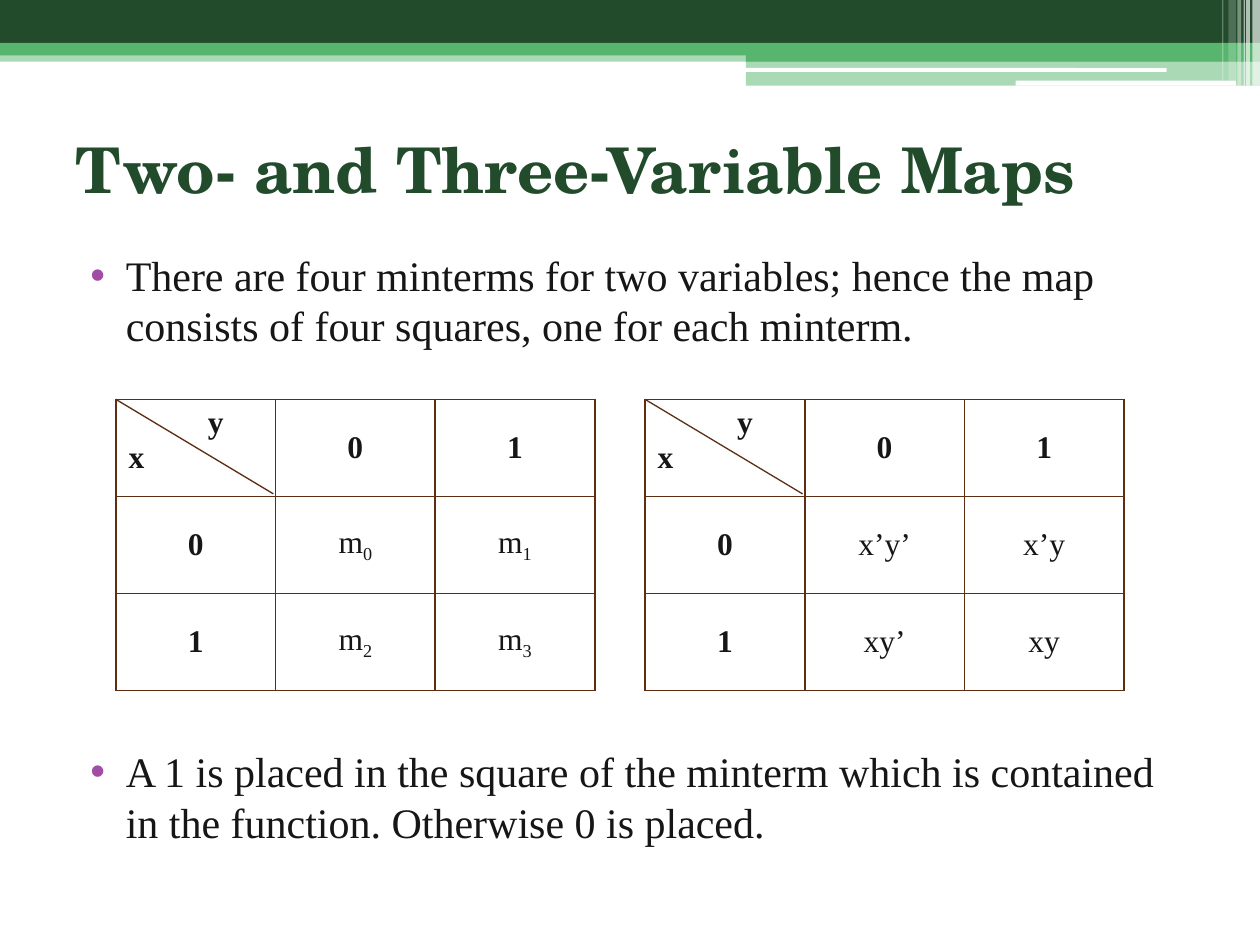
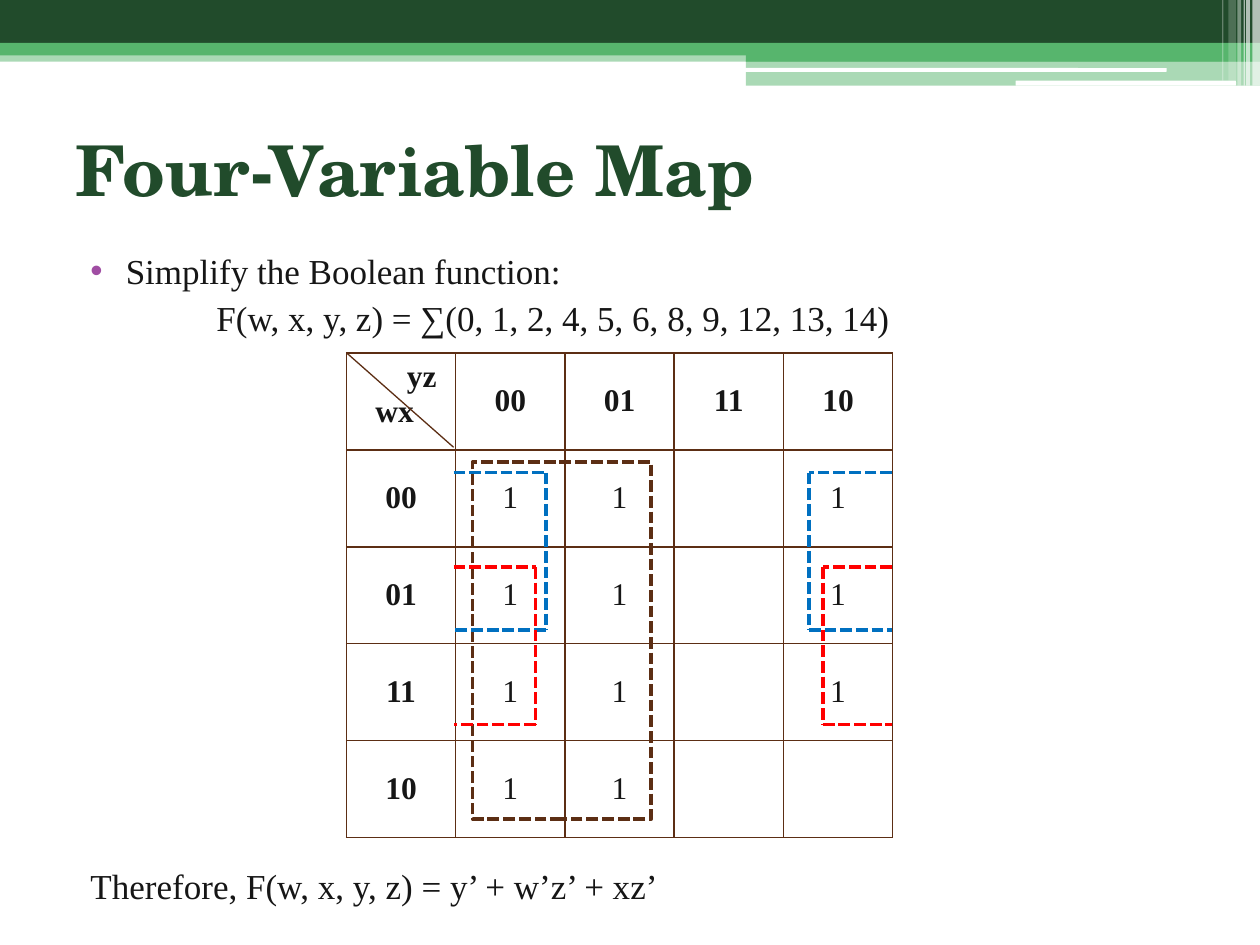
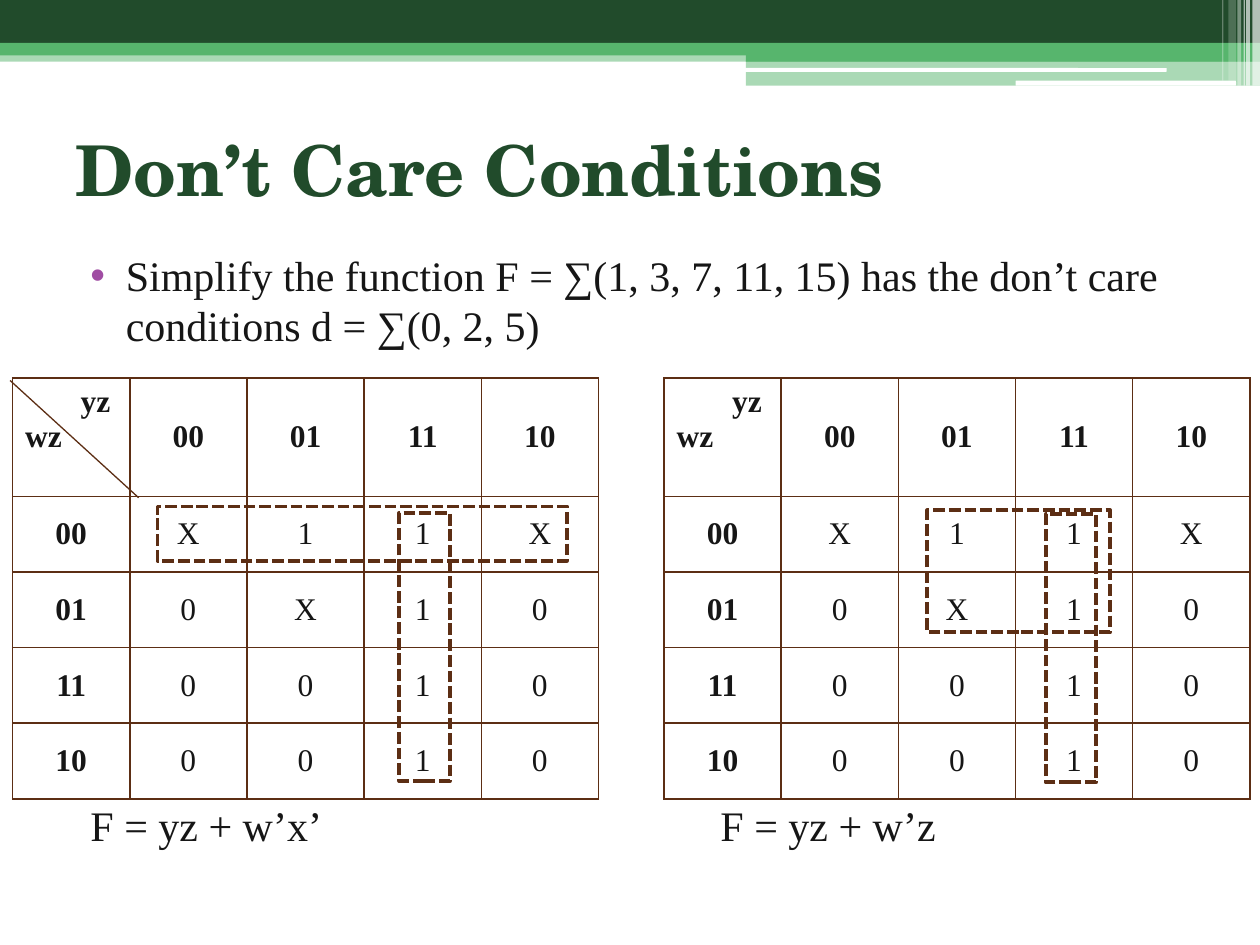
from dataclasses import dataclass

from pptx import Presentation
from pptx.dml.color import RGBColor
from pptx.enum import dml, shapes, text
from pptx.oxml import ns, xmlchemy
from pptx.util import Inches, Pt


@dataclass(frozen=True)
class Theme:
    dark: str = "214B2B"
    green: str = "57B56D"
    white: str = "FFFFFF"
    ink: str = "161616"
    bullet: str = "A04DA3"
    brown: str = "5C2E14"
    blue: str = "0070C0"
    red: str = "FF0000"
    title_font: str = "TeX Gyre Schola"
    body_font: str = "Times New Roman"
    title_size: int = 40
    long_title_size: int = 36
    body_size: int = 24
    small_body_size: int = 20
    cell_size: int = 18
    grid_line: float = 1
    diagonal_line: float = 0.75
    group_line: float = 2.25


THEME = Theme()

# Header: left, top, width, height, colour, opacity in percent
BANDS = [
    (0, 0.4, 10, 0.09, THEME.green, 50),
    (0, 0, 10, 0.34, THEME.dark, 100),
    (0, 0.34, 10, 0.1, THEME.green, 100),
    (5.92, 0.39, 4.08, 0.1, THEME.green, 100),
    (5.92, 0.48, 4.08, 0.2, THEME.green, 50),
]
ROUNDED_BARS = [
    (5.91, 0.54, 3.35, 0.03, THEME.white, 100),
    (8.06, 0.64, 1.75, 0.04, THEME.white, 100),
]
STRIPES = [
    (left, 0, width, height, THEME.white, opacity)
    for left, width, height, opacity in [
        (9.94, 0.06, 0.68, 65), (9.89, 0.03, 0.68, 65), (9.87, 0.01, 0.68, 60),
        (9.82, 0.03, 0.68, 40), (9.75, 0.06, 0.64, 20), (9.7, 0.01, 0.64, 30),
    ]
]
GRAY_CODE = ["00", "01", "11", "10"]


# Shared helpers
def add_child(parent, tag, **attributes):
    child = xmlchemy.OxmlElement(tag)
    for name, value in attributes.items():
        child.set(name, str(value))
    parent.append(child)
    return child


def style_span(span, size, color=THEME.ink, font=THEME.body_font, bold=False):
    span.font.name, span.font.size, span.font.bold = font, Pt(size), bold
    span.font.color.rgb = RGBColor.from_string(color)


def indent(para, left, hanging=0):
    properties = para._p.get_or_add_pPr()
    properties.set("marL", str(Inches(left)))
    properties.set("indent", str(Inches(-hanging)))
    return properties


def style_line(line, color, width, dashed=False):
    line.color.rgb = RGBColor.from_string(color)
    line.width = Pt(width)
    if dashed:
        line.dash_style = dml.MSO_LINE.SQUARE_DOT


def add_line(page, start, end, color, width, dashed=False):
    line = page.shapes.add_connector(
        shapes.MSO_CONNECTOR.STRAIGHT, *map(Inches, (*start, *end)))
    style_line(line.line, color, width, dashed)
    add_child(line._element.spPr, "a:effectLst")


def add_band(page, kind, left, top, width, height, color, opacity):
    band = page.shapes.add_shape(kind, *map(Inches, (left, top, width, height)))
    band.shadow.inherit = False
    band.line.fill.background()
    band.fill.solid()
    band.fill.fore_color.rgb = RGBColor.from_string(color)
    if opacity < 100:
        fill_color = band._element.spPr.find(".//" + ns.qn("a:srgbClr"))
        add_child(fill_color, "a:alpha", val=opacity * 1000)


def add_page(deck, title, size=THEME.title_size):
    page = deck.slides.add_slide(deck.slide_layouts[5])
    for kind, bands in [
        (shapes.MSO_SHAPE.RECTANGLE, BANDS),
        (shapes.MSO_SHAPE.ROUNDED_RECTANGLE, ROUNDED_BARS),
        (shapes.MSO_SHAPE.RECTANGLE, STRIPES),
    ]:
        for band in bands:
            add_band(page, kind, *band)
    box = page.shapes.title
    box.left, box.top, box.width, box.height = map(Inches, (0.5, 0.75, 9, 1.17))
    frame = box.text_frame
    frame.text = title
    frame.vertical_anchor = text.MSO_ANCHOR.MIDDLE
    para = frame.paragraphs[0]
    para.alignment = text.PP_ALIGN.LEFT
    style_span(para.runs[0], size, THEME.dark, THEME.title_font, bold=True)
    return page


def add_body(page, left, top, width, lines, size=THEME.body_size):
    """Each line is (words, left indent, has bullet)."""
    box = page.shapes.add_textbox(*map(Inches, (left, top, width, 0.9)))
    frame = box.text_frame
    frame.word_wrap = True
    frame.text = "\n".join(words for words, _, _ in lines)
    for para, (_, left_indent, has_bullet) in zip(frame.paragraphs, lines):
        properties = indent(para, left_indent, 0.28 if has_bullet else 0)
        para.space_before = Pt(3)
        if has_bullet:
            color = add_child(properties, "a:buClr")
            add_child(color, "a:srgbClr", val=THEME.bullet)
            add_child(properties, "a:buFont", typeface="Arial")
            add_child(properties, "a:buChar", char="•")
        style_span(para.runs[0], size)


# Karnaugh maps
def add_cell_borders(cell):
    properties = cell._tc.get_or_add_tcPr()
    for position, side in enumerate(["a:lnL", "a:lnR", "a:lnT", "a:lnB"]):
        border = add_child(properties, side, w=Pt(THEME.grid_line))
        fill = add_child(border, "a:solidFill")
        add_child(fill, "a:srgbClr", val=THEME.brown)
        properties.insert(position, border)


def fill_corner(cell, labels):
    """Each label is (words, left indent)."""
    cell.text_frame.text = "\n".join(words for words, _ in labels)
    for para, (_, left_indent) in zip(cell.text_frame.paragraphs, labels):
        indent(para, left_indent)
        style_span(para.runs[0], THEME.cell_size, bold=True)


def fill_cell(cell, words, bold):
    """An underscore puts what follows it in subscript."""
    cell.vertical_anchor = text.MSO_ANCHOR.MIDDLE
    para = cell.text_frame.paragraphs[0]
    para.alignment = text.PP_ALIGN.CENTER
    para.font.size = Pt(THEME.cell_size)
    for position, part in enumerate(words.split("_")):
        if part:
            span = para.add_run()
            span.text = part
            style_span(span, THEME.cell_size, bold=bold)
            if position:
                span._r.get_or_add_rPr().set("baseline", "-25000")


def add_map(page, left, top, column_width, row_heights, corner, codes, values):
    count = len(codes) + 1
    table = page.shapes.add_table(
        count, count, Inches(left), Inches(top),
        Inches(column_width * count), Inches(sum(row_heights))).table
    table.first_row = table.horz_banding = False
    for column in table.columns:
        column.width = Inches(column_width)
    for row, height in zip(table.rows, row_heights):
        row.height = Inches(height)
    grid = [["", *codes]] + [[code, *line] for code, line in zip(codes, values)]
    for row, line in enumerate(grid):
        for column, words in enumerate(line):
            cell = table.cell(row, column)
            cell.fill.background()
            add_cell_borders(cell)
            if row == column == 0:
                fill_corner(cell, corner)
            else:
                fill_cell(cell, words, bold=row == 0 or column == 0)


def add_diagonal(page, left, top, width, height):
    add_line(page, (left, top), (left + width, top + height),
             THEME.brown, THEME.diagonal_line)


def add_group(page, left, top, width, height):
    group = page.shapes.add_shape(
        shapes.MSO_SHAPE.RECTANGLE, *map(Inches, (left, top, width, height)))
    group.shadow.inherit = False
    group.fill.background()
    style_line(group.line, THEME.brown, THEME.group_line, dashed=True)


def add_open_group(page, open_x, closed_x, top, bottom, color):
    corners = [(open_x, top), (closed_x, top), (closed_x, bottom), (open_x, bottom)]
    for start, end in zip(corners, corners[1:]):
        add_line(page, start, end, color, THEME.group_line, dashed=True)


# Slides
def build_two_variable_page(deck):
    page = add_page(deck, "Two- and Three-Variable Maps", THEME.long_title_size)
    add_body(page, 0.5, 1.93, 9, [(
        "There are four minterms for two variables; hence the map consists of "
        "four squares, one for each minterm.", 0.4, True)])
    top = 3.17
    for left, values in [
        (0.92, [["m_0", "m_1"], ["m_2", "m_3"]]),
        (5.12, [["x’y’", "x’y"], ["xy’", "xy"]]),
    ]:
        add_map(page, left, top, 1.267, [0.77] * 3,
                [("y", 0.63), ("x", 0)], ["0", "1"], values)
        add_diagonal(page, left, top, 1.25, 0.75)
    add_body(page, 0.5, 5.87, 9, [(
        "A 1 is placed in the square of the minterm which is contained in the "
        "function. Otherwise 0 is placed.", 0.4, True)])


def build_four_variable_page(deck):
    page = add_page(deck, "Four-Variable Map")
    add_body(page, 0.5, 1.93, 9, [
        ("Simplify the Boolean function:", 0.4, True),
        ("F(w, x, y, z) = ∑(0, 1, 2, 4, 5, 6, 8, 9, 12, 13, 14)", 1.12, False),
    ], THEME.small_body_size)
    left, top = 2.75, 2.8
    values = [["1", "1", "", "1"]] * 3 + [["1", "1", "", ""]]
    add_map(page, left, top, 0.867, [0.77] * 5,
            [("yz", 0.38), ("wx", 0.13)], GRAY_CODE, values)
    add_diagonal(page, left, top, 0.85, 0.75)
    # Groups; the open ones wrap around the map's sides
    add_group(page, left + 1, top + 0.87, 1.42, 2.83)
    for color, left_edge, right_edge, start in [
        (THEME.blue, 1.58, 3.67, 0.95), (THEME.red, 1.5, 3.78, 1.7),
    ]:
        for open_x, closed_x in [(0.85, left_edge), (4.33, right_edge)]:
            add_open_group(page, left + open_x, left + closed_x,
                           top + start, top + start + 1.25, color)
    add_body(page, 0.5, 6.81, 9, [
        ("Therefore, F(w, x, y, z) = y’ + w’z’ + xz’", 0.12, False),
    ], THEME.small_body_size)


def build_dont_care_page(deck):
    page = add_page(deck, "Don’t Care Conditions")
    add_body(page, 0.5, 1.93, 9, [(
        "Simplify the function F = ∑(1, 3, 7, 11, 15) has the don’t care "
        "conditions d = ∑(0, 2, 5)", 0.4, True)])
    top = 3
    values = [list(line) for line in ("X11X", "0X10", "0010", "0010")]
    # Groups are measured from the corner of their map
    for left, groups, answer_left, answer in [
        (0.1, [(3.07, 1.07, 0.4, 2.13), (1.15, 1.02, 3.25, 0.43)],
         0.5, "F = yz + w’x’"),
        (5.27, [(3.03, 1.08, 0.4, 2.13), (2.09, 1.05, 1.45, 0.97)],
         5.5, "F = yz + w’z"),
    ]:
        add_map(page, left, top, 0.93, [0.94] + [0.6] * 4,
                [("yz", 0.44), ("wz", 0)], GRAY_CODE, values)
        for x, y, width, height in groups:
            add_group(page, left + x, top + y, width, height)
        add_body(page, answer_left, 6.3, 4, [(answer, 0.12, False)])
    add_diagonal(page, 0.08, top + 0.02, 1.02, 0.93)


def main():
    deck = Presentation()
    deck.slide_width, deck.slide_height = Inches(10), Inches(7.5)
    build_two_variable_page(deck)
    build_four_variable_page(deck)
    build_dont_care_page(deck)
    deck.save("out.pptx")


if __name__ == "__main__":
    main()
